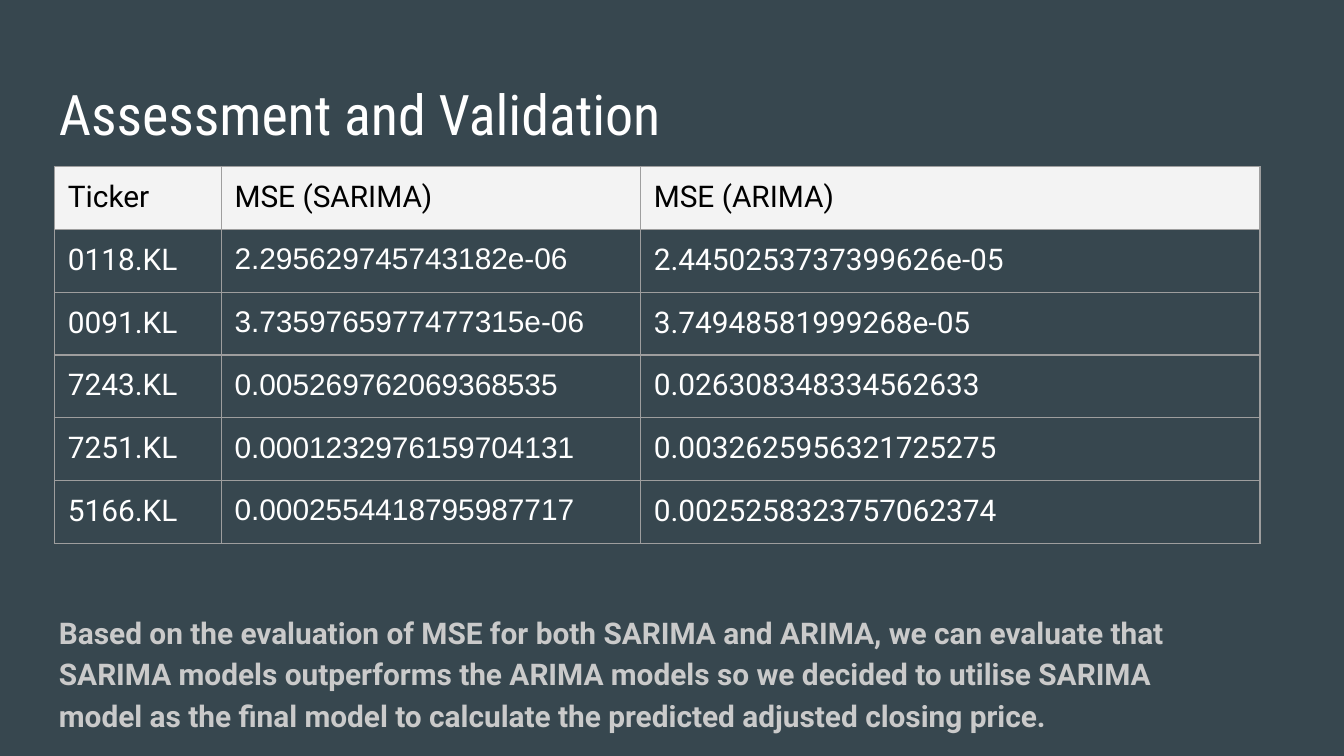
from lxml import etree
from pptx import Presentation
from pptx.dml.color import RGBColor
from pptx.enum.text import MSO_ANCHOR, PP_ALIGN
from pptx.oxml.ns import qn
from pptx.util import Pt

TOP = MSO_ANCHOR.TOP
LEFT = PP_ALIGN.LEFT

SLATE = RGBColor(0x37, 0x47, 0x4F)
WHITE = RGBColor(0xFF, 0xFF, 0xFF)
BLACK = RGBColor(0x00, 0x00, 0x00)
SILVER = RGBColor(0xCA, 0xCA, 0xCA)
HEADER_FILL = RGBColor(0xF3, 0xF3, 0xF3)
BORDER = RGBColor(0x9E, 0x9E, 0x9E)

INSET = Pt(7.2)
COLUMN_WIDTHS = (89.3, 224.6, 331.9)
COLUMN_FONTS = ("Roboto", "Arial", "Roboto")
ROW_HEIGHT = 33

ROWS = (
    ("Ticker", "MSE (SARIMA)", "MSE (ARIMA)"),
    ("0118.KL", "2.295629745743182e-06", "2.4450253737399626e-05"),
    ("0091.KL", "3.7359765977477315e-06", "3.74948581999268e-05"),
    ("7243.KL", "0.005269762069368535", "0.026308348334562633"),
    ("7251.KL", "0.0001232976159704131", "0.0032625956321725275"),
    ("5166.KL", "0.0002554418795987717", "0.0025258323757062374"),
)
CONCLUSION = (
    "Based on the evaluation of MSE for both SARIMA and ARIMA, we can evaluate "
    "that SARIMA models outperforms the ARIMA models so we decided to utilise "
    "SARIMA model as the final model to calculate the predicted adjusted "
    "closing price."
)


def set_attributes(target, values):
    for name, value in values.items():
        setattr(target, name, value)


def write_text(frame, text, color, font):
    para = frame.paragraphs[0]
    para.alignment = LEFT
    span = para.add_run()
    span.text = text
    set_attributes(span.font, font)
    span.font.color.rgb = color
    return para


def add_text(page, place, text, color, font):
    box = page.shapes.add_textbox(*(Pt(length) for length in place))
    frame = box.text_frame
    set_attributes(frame, {
        "word_wrap": True, "vertical_anchor": TOP,
        "margin_left": INSET, "margin_right": INSET,
        "margin_top": INSET, "margin_bottom": INSET,
    })
    return write_text(frame, text, color, font)


def add_borders(cell):
    properties = cell._tc.get_or_add_tcPr()
    for position, side in enumerate(("a:lnL", "a:lnR", "a:lnT", "a:lnB")):
        line = etree.Element(qn(side), w=str(Pt(0.75)))
        fill = etree.SubElement(line, qn("a:solidFill"))
        etree.SubElement(fill, qn("a:srgbClr"), val=str(BORDER))
        # Border lines come before the cell fill
        properties.insert(position, line)


def format_cell(cell, text, is_header, font_name):
    set_attributes(cell, {
        "margin_left": INSET, "margin_right": INSET,
        "margin_top": INSET, "margin_bottom": INSET,
        "vertical_anchor": TOP,
    })
    if is_header:
        cell.fill.solid()
        cell.fill.fore_color.rgb = HEADER_FILL
    else:
        cell.fill.background()
    add_borders(cell)
    write_text(cell.text_frame, text, BLACK if is_header else WHITE,
               {"name": font_name, "size": Pt(16), "bold": False})


def add_error_table(page, left, top):
    frame = page.shapes.add_table(
        len(ROWS), len(COLUMN_WIDTHS), Pt(left), Pt(top),
        Pt(sum(COLUMN_WIDTHS)), Pt(ROW_HEIGHT * len(ROWS)))
    table = frame.table
    table.horz_banding = False
    for column, width in zip(table.columns, COLUMN_WIDTHS):
        column.width = Pt(width)
    for row_number, texts in enumerate(ROWS):
        table.rows[row_number].height = Pt(ROW_HEIGHT)
        is_header = row_number == 0
        for column_number, text in enumerate(texts):
            font_name = "Roboto" if is_header else COLUMN_FONTS[column_number]
            format_cell(table.cell(row_number, column_number), text,
                        is_header, font_name)


def main():
    deck = Presentation()
    deck.slide_width, deck.slide_height = Pt(720), Pt(405)
    page = deck.slides.add_slide(deck.slide_layouts[6])
    page.background.fill.solid()
    page.background.fill.fore_color.rgb = SLATE

    # Title
    add_text(page, (24.5, 35.3, 671, 45.4), "Assessment and Validation", WHITE,
             {"name": "Roboto Condensed", "size": Pt(30)})

    # Conclusion under the table
    conclusion = add_text(page, (24.5, 319.4, 646.6, 80), CONCLUSION, SILVER,
                          {"name": "Roboto", "size": Pt(16), "bold": True})
    conclusion.line_spacing = 1.15

    # Errors of both models by ticker
    add_error_table(page, 29.2, 89.3)

    deck.save("out.pptx")


if __name__ == "__main__":
    main()
